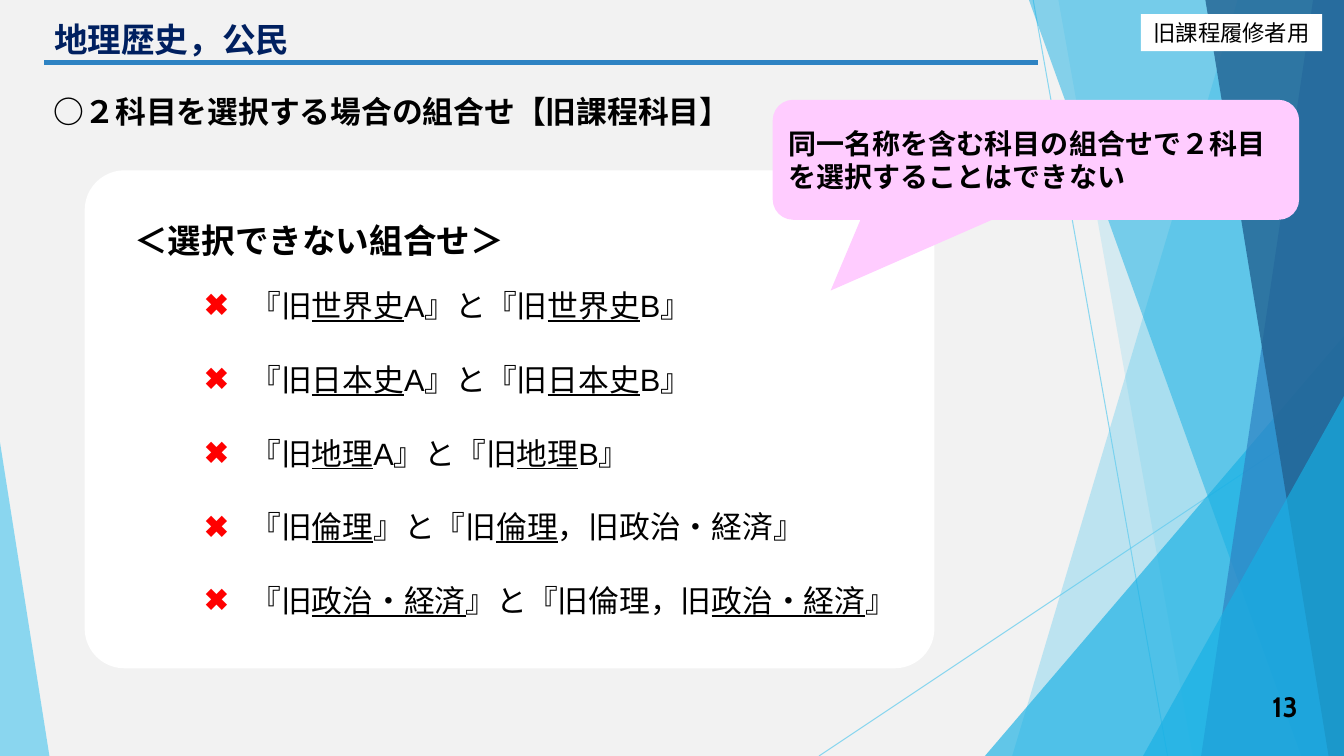
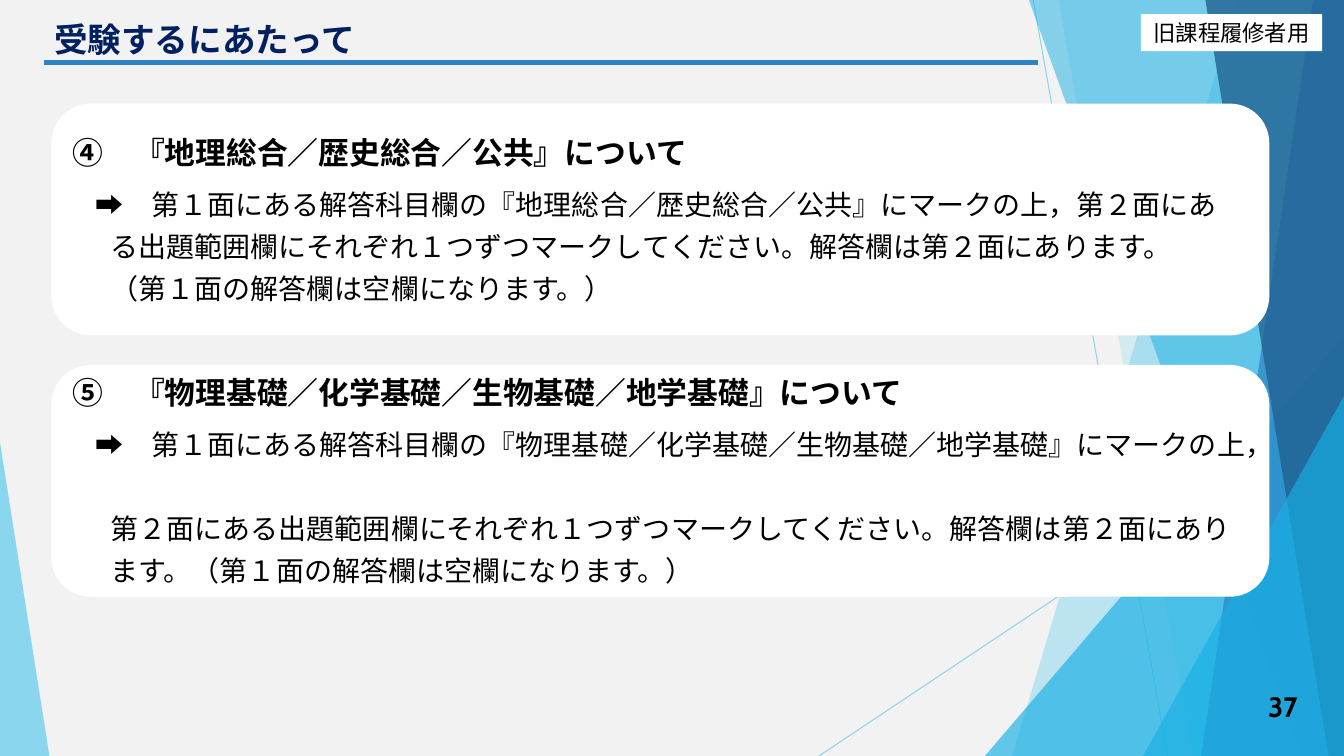
from lxml import etree
from pptx import Presentation
from pptx.dml.color import RGBColor
from pptx.enum.shapes import MSO_CONNECTOR, MSO_SHAPE
from pptx.enum.text import MSO_ANCHOR, PP_ALIGN
from pptx.oxml.ns import qn
from pptx.util import Pt

RECT = MSO_SHAPE.RECTANGLE
ROUNDED = MSO_SHAPE.ROUNDED_RECTANGLE
TRIANGLE = MSO_SHAPE.ISOSCELES_TRIANGLE
CALLOUT = MSO_SHAPE.ROUNDED_RECTANGULAR_CALLOUT
STRAIGHT = MSO_CONNECTOR.STRAIGHT
TOP, MIDDLE = MSO_ANCHOR.TOP, MSO_ANCHOR.MIDDLE
LEFT, CENTER, RIGHT = PP_ALIGN.LEFT, PP_ALIGN.CENTER, PP_ALIGN.RIGHT

WIDTH, HEIGHT = 960, 540
SKY, CYAN, BLUE, DEEP = "5FCBEF", "17B0E4", "2E83C3", "226292"
BLACK, WHITE, NAVY, RED, PINK, GRAY = "000000", "FFFFFF", "002060", "FF0000", "FFCCFF", "F2F2F2"


def rgb(code):
    return RGBColor.from_string(code)


def fade(shape, opacity):
    for color in shape._element.spPr.iter(qn("a:srgbClr")):
        etree.SubElement(color, qn("a:alpha"), val=str(opacity * 1000))


class Deck:
    """Builds slides that share one background, title style and page number."""

    font = "Cabin"
    leading = 1.2

    def __init__(self):
        self.prs = Presentation()
        self.prs.slide_width, self.prs.slide_height = Pt(WIDTH), Pt(HEIGHT)
        self.slide = None

    def start(self, title, number):
        self.slide = self.prs.slides.add_slide(self.prs.slide_layouts[6])
        backdrop = self.slide.background.fill
        backdrop.solid()
        backdrop.fore_color.rgb = rgb(GRAY)
        self.decorate()
        self.line(31.5, 44.7, 741.5, 44.7, BLUE, 3)
        course = self.shape(RECT, 815, 10, 129.5, 26.5, WHITE)
        self.add_text(course, "旧課程履修者用", 16, align=CENTER)
        self.label(880, 490, 54, 29, str(number), 20, align=RIGHT, anchor=MIDDLE)
        self.label(31.5, 10, 677, 45, title, 24, color=NAVY)

    def decorate(self):
        self.line(738, 0, 834, HEIGHT, SKY, 0.75, 70)
        self.line(WIDTH, 290, 585, HEIGHT, SKY, 0.75, 70)
        self.shard(884, 723, SKY, 36)
        self.shard(756, 852, SKY, 20)
        self.shape(TRIANGLE, 703.5, 240, 256.5, 300, CYAN, [1], 66)
        self.shard(735, 929.5, CYAN, 50)
        self.shard(938, 858, BLUE, 70)
        self.shard(861, 949, DEEP, 80)
        self.shape(TRIANGLE, 816.5, 283, 143.5, 257, CYAN, [1], 66)
        self.shape(TRIANGLE, 0, 316, 35.3, 224, SKY, [0], 70)

    def line(self, x1, y1, x2, y2, color, weight, opacity=100):
        rule = self.slide.shapes.add_connector(STRAIGHT, Pt(x1), Pt(y1), Pt(x2), Pt(y2))
        rule.line.color.rgb = rgb(color)
        rule.line.width = Pt(weight)
        etree.SubElement(rule._element.spPr, qn("a:effectLst"))
        fade(rule, opacity)

    def paint(self, shape, color, opacity):
        shape.shadow.inherit = False
        shape.fill.solid()
        shape.fill.fore_color.rgb = rgb(color)
        shape.line.fill.background()
        fade(shape, opacity)

    def shard(self, top_x, bottom_x, color, opacity):
        outline = self.slide.shapes.build_freeform(Pt(top_x), 0)
        corners = [(WIDTH, 0), (WIDTH, HEIGHT), (bottom_x, HEIGHT)]
        outline.add_line_segments([(Pt(x), Pt(y)) for x, y in corners], close=True)
        self.paint(outline.convert_to_shape(), color, opacity)

    def shape(self, kind, x, y, w, h, color, adjustments=(), opacity=100):
        shape = self.slide.shapes.add_shape(kind, Pt(x), Pt(y), Pt(w), Pt(h))
        for index, value in enumerate(adjustments):
            shape.adjustments[index] = value
        self.paint(shape, color, opacity)
        shape.text_frame.word_wrap = True
        shape.text_frame.vertical_anchor = MIDDLE
        return shape

    def label(self, x, y, w, h, text, size, color=BLACK, align=LEFT, anchor=TOP):
        box = self.slide.shapes.add_textbox(Pt(x), Pt(y), Pt(w), Pt(h))
        box.text_frame.word_wrap = True
        box.text_frame.vertical_anchor = anchor
        self.add_text(box, text, size, True, color, align)

    def add_text(self, shape, text, size, bold=False, color=BLACK, align=LEFT, font=None,
                 before=0, leading=None, margin=0, indent=0, bullet=None):
        frame = shape.text_frame
        paragraph = frame.add_paragraph() if frame.text else frame.paragraphs[0]
        for row, line in enumerate(text.split("\n")):
            if row:
                paragraph.add_line_break()
            for index, part in enumerate(line.split("_")):
                run = paragraph.add_run()
                run.text = part
                if index % 2:
                    run.font.underline = True
        paragraph.alignment = align
        paragraph.line_spacing = Pt(leading or size * self.leading)
        paragraph.space_before = Pt(before)
        props = paragraph._p.get_or_add_pPr()
        props.set("marL", str(int(Pt(margin))))
        props.set("indent", str(int(Pt(indent))))
        if bullet:
            tint = etree.SubElement(props, qn("a:buClr"))
            etree.SubElement(tint, qn("a:srgbClr"), val=RED)
            etree.SubElement(props, qn("a:buFont"), typeface=font or self.font)
            etree.SubElement(props, qn("a:buChar"), char=bullet)
        style = paragraph.font
        style.size, style.bold = Pt(size), bold
        style.color.rgb = rgb(color)
        style.name = font or self.font
        etree.SubElement(props.find(qn("a:defRPr")), qn("a:ea"), typeface=font or self.font)

    def combinations(self, heading, pairs):
        panel = self.shape(ROUNDED, 60.5, 121.7, 607, 355.7, WHITE, [0.08])
        self.add_text(panel, heading, 24, True, font="Arial", margin=20)
        for index, pair in enumerate(pairs):
            self.add_text(panel, pair, 22, font="Arial", before=26.3 if index else 19,
                          margin=103, indent=-33, bullet="✖")

    def notice(self, y, heading, body):
        card = self.shape(ROUNDED, 36.7, y, 870, 165.6, WHITE, [0.17])
        card.text_frame.margin_right = 0
        self.add_text(card, heading, 22, True)
        self.add_text(card, body, 20, before=6, leading=30, margin=27, indent=-11)


def main():
    deck = Deck()

    deck.start("地理歴史，公民", 13)
    deck.label(31.5, 62.6, 509, 34, "○２科目を選択する場合の組合せ【旧課程科目】", 22)
    deck.combinations("＜選択できない組合せ＞", [
        "『旧_世界史_A』と『旧_世界史_B』",
        "『旧_日本史_A』と『旧_日本史_B』",
        "『旧_地理_A』と『旧_地理_B』",
        "『旧_倫理_』と『旧_倫理_，旧政治・経済』",
        "『旧_政治・経済_』と『旧倫理，旧_政治・経済_』",
    ])
    warning = deck.shape(CALLOUT, 552, 71.3, 376, 85.7, PINK, [-0.39, 1.09, 0.17])
    deck.add_text(warning, "同一名称を含む科目の組合せで２科目を選択することはできない", 20, True)

    deck.start("受験するにあたって", 37)
    notices = [
        ("④　『地理総合／歴史総合／公共』について",
         "➡　第１面にある解答科目欄の『地理総合／歴史総合／公共』にマークの上，第２面にあ\n"
         "る出題範囲欄にそれぞれ１つずつマークしてください。解答欄は第２面にあります。\n"
         "（第１面の解答欄は空欄になります。）"),
        ("⑤　『物理基礎／化学基礎／生物基礎／地学基礎』について",
         "➡　第１面にある解答科目欄の『物理基礎／化学基礎／生物基礎／地学基礎』にマークの上，\n"
         "第２面にある出題範囲欄にそれぞれ１つずつマークしてください。解答欄は第２面にあり\n"
         "ます。（第１面の解答欄は空欄になります。）"),
    ]
    for index, (heading, body) in enumerate(notices):
        deck.notice(74 + index * 186.7, heading, body)

    deck.prs.save("out.pptx")


if __name__ == "__main__":
    main()
